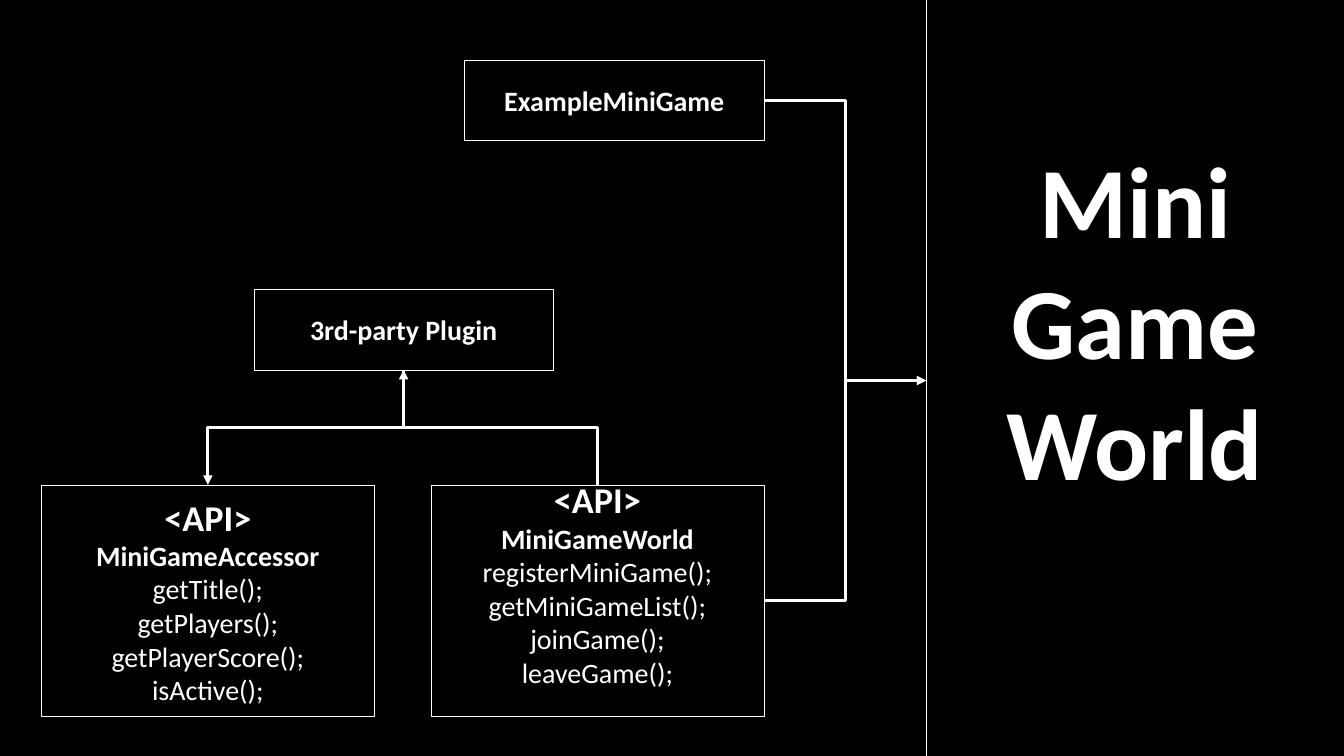
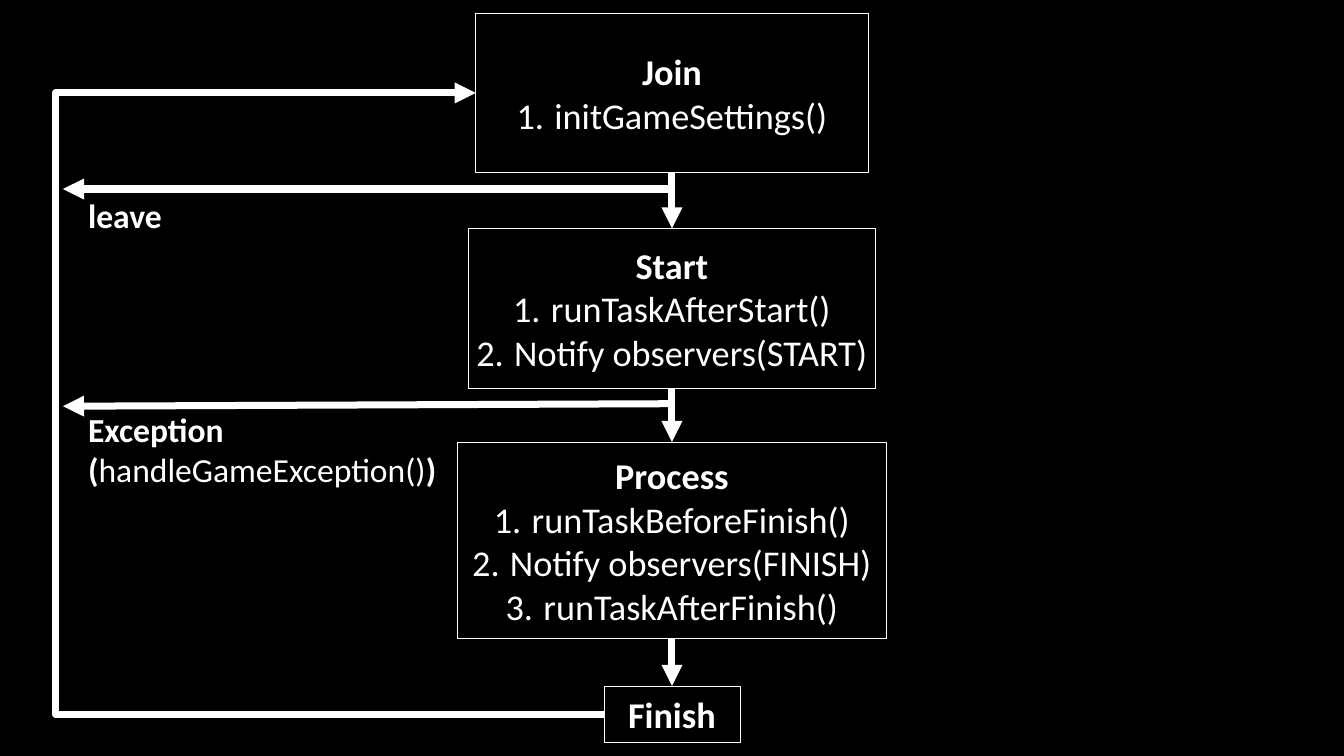
from dataclasses import dataclass
from itertools import pairwise
from typing import NamedTuple

from lxml.etree import SubElement
from pptx import Presentation
from pptx.dml.color import RGBColor
from pptx.enum.shapes import MSO_CONNECTOR, MSO_SHAPE
from pptx.enum.text import MSO_ANCHOR, MSO_AUTO_SIZE, PP_ALIGN
from pptx.oxml.ns import qn
from pptx.shapes.connector import Connector
from pptx.slide import Slide
from pptx.text.text import TextFrame
from pptx.util import Inches, Pt

BLACK = RGBColor(0x00, 0x00, 0x00)
WHITE = RGBColor(0xFF, 0xFF, 0xFF)
FONT = "Calibri"
COLUMNS, ROWS = 26.67, 15
CELL = Inches(1)
LINE_HEIGHT = 1.22
NUMBER_INDENT = Inches(0.75)
HEADING, BODY, LABEL, DISPLAY = 51.8, 40, 48, 144
THIN, THICK = 4.5, 10


class Point(NamedTuple):
    """A place in columns and rows."""

    x: float
    y: float


@dataclass(frozen=True)
class Line:
    """One paragraph; its runs are (text, bold) pairs."""

    runs: tuple[tuple[str, bool], ...]
    size: float
    numbered: bool = False


@dataclass(frozen=True)
class Box:
    """A framed block in columns and rows."""

    left: float
    top: float
    width: float
    height: float

    def at(self, across: float, down: float) -> Point:
        """Return the point at the given shares of width and height."""
        return Point(self.left + across * self.width, self.top + down * self.height)


def cells(amount: float) -> int:
    """Convert grid cells to slide units."""
    return round(amount * CELL)


def bold(text: str, size: float) -> Line:
    """Make a bold paragraph."""
    return Line(((text, True),), size)


def plain(text: str, size: float, numbered: bool = False) -> Line:
    """Make a regular paragraph."""
    return Line(((text, False),), size, numbered)


def write_text(frame: TextFrame, lines: list[Line], *, align: PP_ALIGN = PP_ALIGN.CENTER,
               anchor: MSO_ANCHOR = MSO_ANCHOR.MIDDLE, space_below: float = 0) -> None:
    """Fill a frame with paragraphs, keeping free the given points below."""
    frame.word_wrap = True
    frame.vertical_anchor = anchor
    frame.margin_bottom = Inches(0.05) + Pt(space_below)
    for index, line in enumerate(lines):
        paragraph = frame.add_paragraph() if index else frame.paragraphs[0]
        paragraph.alignment = align
        if line.numbered:
            properties = paragraph._p.get_or_add_pPr()
            properties.set("marL", str(NUMBER_INDENT))
            properties.set("indent", str(-NUMBER_INDENT))
            SubElement(properties, qn("a:buFont"), typeface="+mj-lt")
            SubElement(properties, qn("a:buAutoNum"), type="arabicPeriod")
        for text, is_bold in line.runs:
            run = paragraph.add_run()
            run.text = text
            run.font.name = FONT
            run.font.size = Pt(line.size)
            run.font.bold = is_bold
            run.font.color.rgb = WHITE


def draw_box(slide: Slide, box: Box, lines: list[Line], *,
             preset: MSO_SHAPE = MSO_SHAPE.RECTANGLE, space_below: float = 0) -> None:
    """Draw a black block with a white outline and centred text."""
    block = slide.shapes.add_shape(preset, cells(box.left), cells(box.top),
                                   cells(box.width), cells(box.height))
    block.shadow.inherit = False
    block.fill.solid()
    block.fill.fore_color.rgb = BLACK
    block.line.color.rgb = WHITE
    block.line.width = Pt(1)
    write_text(block.text_frame, lines, space_below=space_below)


def draw_label(slide: Slide, box: Box, lines: list[Line]) -> None:
    """Draw a caption without a frame."""
    caption = slide.shapes.add_textbox(cells(box.left), cells(box.top),
                                       cells(box.width), cells(box.height))
    write_text(caption.text_frame, lines, align=PP_ALIGN.LEFT, anchor=MSO_ANCHOR.TOP)
    caption.text_frame.auto_size = MSO_AUTO_SIZE.SHAPE_TO_FIT_TEXT


def draw_arrow(slide: Slide, start: Point, end: Point, weight: float,
               kind: MSO_CONNECTOR = MSO_CONNECTOR.STRAIGHT) -> Connector:
    """Draw a white connector that ends in a triangle."""
    arrow = slide.shapes.add_connector(kind, cells(start.x), cells(start.y),
                                       cells(end.x), cells(end.y))
    arrow.line.color.rgb = WHITE
    arrow.line.width = Pt(weight)
    SubElement(arrow.line._get_or_add_ln(), qn("a:tailEnd"), type="triangle")
    SubElement(arrow._element.spPr, qn("a:effectLst"))
    return arrow


def draw_side_elbow(slide: Slide, start: Point, end: Point, weight: float,
                    bend: float = 0.5) -> None:
    """Draw an elbow that leaves sideways and bends at a share of its width."""
    elbow = draw_arrow(slide, start, end, weight, MSO_CONNECTOR.ELBOW)
    guides = elbow._element.spPr.find(qn("a:prstGeom")).get_or_add_avLst()
    SubElement(guides, qn("a:gd"), name="adj1", fmla=f"val {round(bend * 100000)}")


def draw_upright_elbow(slide: Slide, start: Point, end: Point, weight: float) -> None:
    """Draw an elbow that leaves up or down, as a turned sideways elbow."""
    middle = Point((start.x + end.x) / 2, (start.y + end.y) / 2)
    turn = 1 if end.y > start.y else -1
    across, down = turn * (start.y - middle.y), turn * (middle.x - start.x)
    elbow = draw_arrow(slide, Point(middle.x + across, middle.y + down),
                       Point(middle.x - across, middle.y - down), weight, MSO_CONNECTOR.ELBOW)
    degrees = 90 * turn % 360
    elbow._element.spPr.find(qn("a:xfrm")).set("rot", str(degrees * 60000))


def add_black_slide(deck: Presentation) -> Slide:
    """Add a blank slide with a black background."""
    slide = deck.slides.add_slide(deck.slide_layouts[6])
    slide.background.fill.solid()
    slide.background.fill.fore_color.rgb = BLACK
    return slide


def api_lines(name: str, methods: list[str]) -> list[Line]:
    """List an API class and its methods."""
    return [bold("<API>", HEADING), bold(name, BODY)] + [plain(f"{m}();", BODY) for m in methods]


def build_architecture(slide: Slide) -> None:
    """Draw how plugins reach the game world."""
    process = MSO_SHAPE.FLOWCHART_PROCESS
    accessor = Box(0.82, 9.62, 6.61, 4.59)
    world_api = Box(8.55, accessor.top, accessor.width, accessor.height)
    example = Box(9.22, 1.19, 5.94, 1.6)
    plugin = Box(5.04, 5.74, example.width, example.height)
    world = Box(18.38, -0.38, 8.29, 15.86)

    draw_box(slide, accessor, api_lines(
        "MiniGameAccessor", ["getTitle", "getPlayers", "getPlayerScore", "isActive"]),
        preset=process)
    draw_box(slide, world_api, api_lines(
        "MiniGameWorld", ["registerMiniGame", "getMiniGameList", "joinGame", "leaveGame"]),
        preset=process, space_below=BODY * LINE_HEIGHT)
    draw_box(slide, world, [bold(word, DISPLAY) for word in ("Mini", "Game", "World")],
             preset=process, space_below=DISPLAY * LINE_HEIGHT)
    draw_box(slide, example, [bold("ExampleMiniGame", BODY)], preset=process)
    draw_box(slide, plugin, [bold("3rd-party Plugin", BODY)], preset=process)

    for source in (example, world_api):
        draw_side_elbow(slide, source.at(1, 0.5), world.at(0, 0.5), THIN)
    draw_upright_elbow(slide, plugin.at(0.5, 1), accessor.at(0.5, 0), THIN)
    draw_upright_elbow(slide, world_api.at(0.5, 0), plugin.at(0.5, 1), THIN)


def build_life_cycle(slide: Slide) -> None:
    """Draw the steps of a game from joining to finishing."""
    axis, loop_x, exit_x, label_x = COLUMNS / 2, 1.1, 1.25, 1.65
    phases = [
        ("Join", 0.26, 7.79, 3.17, ["initGameSettings()"]),
        ("Start", 4.53, 8.08, 3.17, ["runTaskAfterStart()", "Notify observers(START)"]),
        ("Process", 8.77, 8.51, 3.9, ["runTaskBeforeFinish()", "Notify observers(FINISH)",
                                      "runTaskAfterFinish()"]),
        ("Finish", 13.61, 2.7, 1.13, []),
    ]
    boxes = []
    for title, top, width, height, tasks in phases:
        box = Box(axis - width / 2, top, width, height)
        draw_box(slide, box, [bold(title, HEADING)]
                 + [plain(task, HEADING, numbered=True) for task in tasks])
        boxes.append(box)
    for upper, lower in pairwise(boxes):
        draw_arrow(slide, upper.at(0.5, 1), lower.at(0.5, 0), THICK)

    restart, join = boxes[-1].at(0, 0.5), boxes[0].at(0, 0.5)
    bend = (restart.x - loop_x) / (restart.x - join.x)
    draw_side_elbow(slide, restart, join, THICK, bend)
    for start_y, end_y in ((3.75, 3.75), (8.01, 8.06)):
        draw_arrow(slide, Point(axis, start_y), Point(exit_x, end_y), THICK)

    draw_label(slide, Box(label_x, 3.82, 2.54, 0.91), [bold("leave", LABEL)])
    handler = Line((("(", True), ("handleGameException()", False), (")", True)), LABEL)
    draw_label(slide, Box(label_x, 8.06, 7.64, 1.72), [bold("Exception", LABEL), handler])


def main() -> None:
    """Build and save the presentation."""
    deck = Presentation()
    deck.slide_width, deck.slide_height = cells(COLUMNS), cells(ROWS)
    for build in (build_architecture, build_life_cycle):
        build(add_black_slide(deck))
    deck.save("out.pptx")


main()
